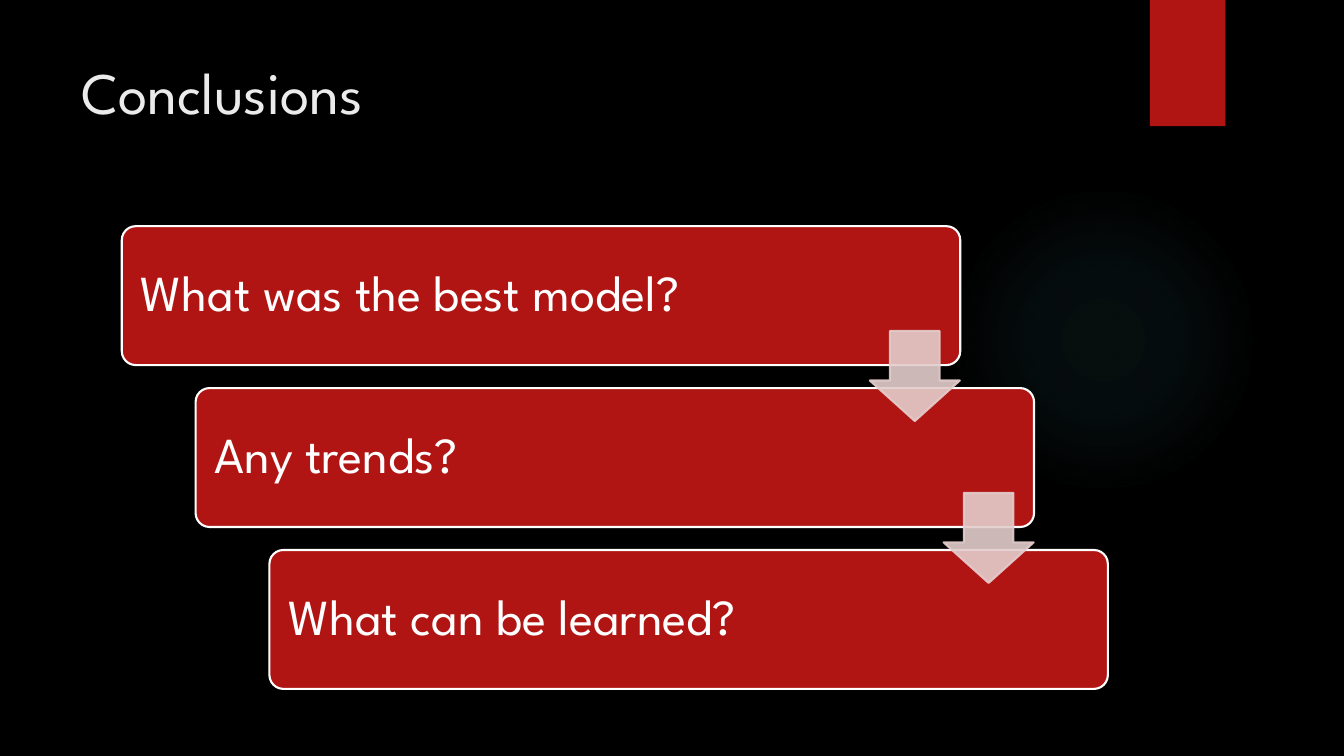
from dataclasses import dataclass

from lxml.etree import SubElement
from pptx import Presentation
from pptx.dml.color import RGBColor
from pptx.enum.shapes import MSO_SHAPE
from pptx.enum.text import MSO_ANCHOR, PP_ALIGN
from pptx.oxml import parse_xml
from pptx.oxml.ns import nsdecls, qn
from pptx.util import Cm, Pt


@dataclass(frozen=True)
class Theme:
    """Colours, font and sizes of the deck."""
    background: str = "000000"
    accent: str = "B01513"
    glow: str = "50B9C1"
    title: str = "EBEBEB"
    label: str = "FFFFFF"
    arrow: str = "E4CCCC"
    font: str = "League Spartan"
    title_size: int = 42
    label_size: int = 36
    outline: float = 1.5


class SlideBuilder:
    """Draws themed elements on the current slide."""

    def __init__(self, slide, theme):
        self.slide = slide
        self.theme = theme
        backdrop = slide.background.fill
        backdrop.solid()
        backdrop.fore_color.rgb = RGBColor.from_string(theme.background)

    def shape(self, kind, left, top, width, height, fill=None, line=None):
        """Add a flat preset shape, measured in centimetres."""
        item = self.slide.shapes.add_shape(kind, Cm(left), Cm(top), Cm(width), Cm(height))
        item.shadow.inherit = False
        if fill:
            item.fill.solid()
            item.fill.fore_color.rgb = RGBColor.from_string(fill)
        else:
            item.fill.background()
        if line:
            item.line.color.rgb = RGBColor.from_string(line)
            item.line.width = Pt(self.theme.outline)
        else:
            item.line.fill.background()
        return item

    def set_text(self, frame, text, size, color):
        """Put one left-aligned paragraph into a text frame."""
        frame.word_wrap = True
        paragraph = frame.paragraphs[0]
        paragraph.text = text
        paragraph.alignment = PP_ALIGN.LEFT
        paragraph.font.name = self.theme.font
        paragraph.font.size = Pt(size)
        paragraph.font.color.rgb = RGBColor.from_string(color)
        return paragraph

    def glow(self, left, top, diameter, stops):
        """Add a circle that fades outwards through (position, opacity) stops."""
        halo = self.shape(MSO_SHAPE.OVAL, left, top, diameter, diameter)
        shades = "".join(
            f'<a:gs pos="{position * 1000}"><a:srgbClr val="{self.theme.glow}">'
            f'<a:alpha val="{opacity * 1000}"/></a:srgbClr></a:gs>'
            for position, opacity in stops
        )
        gradient = parse_xml(
            f'<a:gradFill {nsdecls("a")}><a:gsLst>{shades}</a:gsLst><a:path path="circle">'
            '<a:fillToRect l="50000" t="50000" r="50000" b="50000"/></a:path></a:gradFill>'
        )
        properties = halo._element.spPr
        properties.replace(properties.find(qn("a:noFill")), gradient)

    def ribbon(self, left, top, width, height):
        """Add the accent ribbon."""
        self.shape(MSO_SHAPE.RECTANGLE, left, top, width, height, self.theme.accent)

    def title(self, text, left, top, width, height):
        """Add the slide title."""
        heading = self.slide.shapes.add_textbox(Cm(left), Cm(top), Cm(width), Cm(height))
        self.set_text(heading.text_frame, text, self.theme.title_size, self.theme.title)

    def step(self, text, left, top, width, height):
        """Add a rounded box holding one question."""
        theme = self.theme
        box = self.shape(MSO_SHAPE.ROUNDED_RECTANGLE, left, top, width, height,
                         theme.accent, theme.label)
        box.adjustments[0] = 0.1
        frame = box.text_frame
        frame.vertical_anchor = MSO_ANCHOR.MIDDLE
        frame.margin_left = frame.margin_right = Cm(0.38)
        question = self.set_text(frame, text, theme.label_size, theme.label)
        question.line_spacing = 0.9

    def arrow(self, left, top, side, opacity):
        """Add a translucent arrow pointing down."""
        theme = self.theme
        pointer = self.shape(MSO_SHAPE.DOWN_ARROW, left, top, side, side,
                             theme.arrow, theme.arrow)
        pointer.adjustments[0] = 0.55
        pointer.adjustments[1] = 0.45
        for color in pointer._element.spPr.iter(qn("a:srgbClr")):
            SubElement(color, qn("a:alpha"), val=str(opacity * 1000))


def main():
    """Build the conclusions slide."""
    deck = Presentation()
    deck.slide_width, deck.slide_height = Cm(33.87), Cm(19.05)
    builder = SlideBuilder(deck.slides.add_slide(deck.slide_layouts[6]), Theme())

    builder.glow(23.9, 4.65, 7.82, [(0, 7), (36, 6), (69, 0)])
    builder.ribbon(28.98, 0, 1.9, 3.18)
    builder.title("Conclusions", 1.8, 1.27, 26.14, 3.89)

    questions = ["What was the best model?", "Any trends?", "What can be learned?"]
    shift, drop = 1.86, 4.08
    for index, question in enumerate(questions):
        builder.step(question, 3.07 + index * shift, 5.7 + index * drop, 21.13, 3.5)
    for index in range(len(questions) - 1):
        builder.arrow(21.92 + index * shift, 8.34 + index * drop, 2.27, opacity=90)

    deck.save("out.pptx")


if __name__ == "__main__":
    main()
